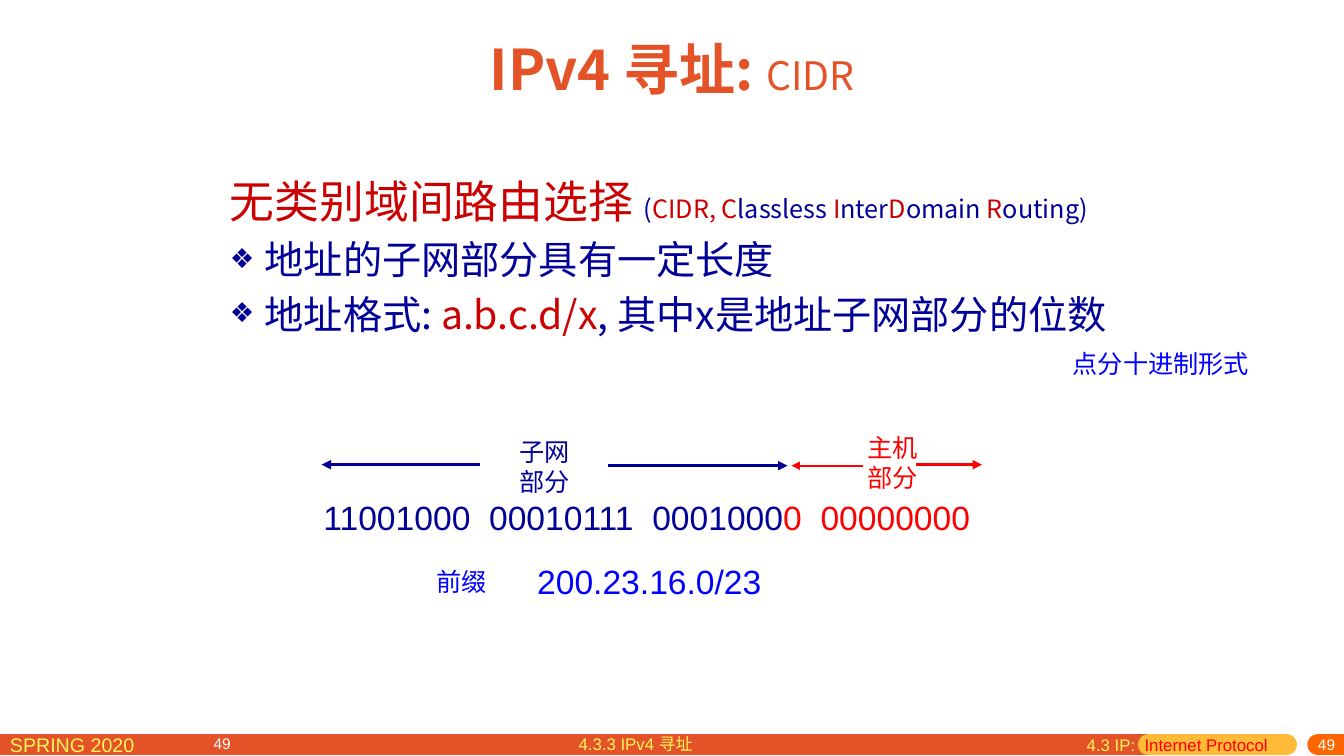
from lxml import etree
from pptx import Presentation
from pptx.dml.color import RGBColor
from pptx.enum.shapes import MSO_CONNECTOR
from pptx.enum.text import MSO_ANCHOR, MSO_AUTO_SIZE, PP_ALIGN
from pptx.oxml.ns import qn
from pptx.util import Inches, Pt

LEFT, CENTER, RIGHT = PP_ALIGN.LEFT, PP_ALIGN.CENTER, PP_ALIGN.RIGHT
TOP, MIDDLE = MSO_ANCHOR.TOP, MSO_ANCHOR.MIDDLE
NO_AUTOFIT = MSO_AUTO_SIZE.NONE
STRAIGHT = MSO_CONNECTOR.STRAIGHT

ORANGE = RGBColor(0xE4, 0x53, 0x27)
AMBER = RGBColor(0xFF, 0xBA, 0x37)
BRIGHT_ORANGE = RGBColor(0xFF, 0x66, 0x00)
YELLOW = RGBColor(0xFF, 0xF6, 0x5C)
WHITE = RGBColor(0xFF, 0xFF, 0xFF)
NAVY = RGBColor(0x00, 0x00, 0x99)
BLUE = RGBColor(0x00, 0x00, 0xFF)
CRIMSON = RGBColor(0xCC, 0x00, 0x00)
RED = RGBColor(0xFF, 0x00, 0x00)
LATIN, CJK = "Arial", "Noto Sans CJK SC"


def write(paragraph, runs, size, font, align=LEFT):
    paragraph.alignment = align
    paragraph.font.size = Pt(size)
    paragraph.font.name = font
    etree.SubElement(paragraph.font._rPr, qn("a:ea"), typeface=CJK)
    for text, color in runs:
        run = paragraph.add_run()
        run.text = text
        run.font.color.rgb = color
    return paragraph.runs


def draw_line(start, end, color, width, arrow=False, cap="flat"):
    line = slide.shapes.add_connector(STRAIGHT, *(Inches(v) for v in start + end))
    line.line.color.rgb = color
    line.line.width = Pt(width)
    stroke = line.line._ln
    stroke.set("cap", cap)
    if arrow:
        etree.SubElement(stroke, qn("a:tailEnd"), type="triangle")
    etree.SubElement(line._element.spPr, qn("a:effectLst"))


prs = Presentation()
prs.slide_width, prs.slide_height = Inches(13.33), Inches(7.5)
slide = prs.slides.add_slide(prs.slide_layouts[1])

for left, right, color, cap in [
    (-0.18, 11.39, ORANGE, "flat"),
    (11.39, 12.76, AMBER, "rnd"),
    (13.07, 13.6, BRIGHT_ORANGE, "rnd"),
]:
    draw_line((left, 7.39), (right, 7.39), color, 15, cap=cap)

title, body = slide.shapes.title, slide.placeholders[1]
for holder, box, anchor in [
    (title, (2.79, 0.21, 7.75, 0.93), MIDDLE),
    (body, (2.18, 1.67, 9.06, 3.47), TOP),
]:
    holder.left, holder.top, holder.width, holder.height = (Inches(v) for v in box)
    holder.text_frame.vertical_anchor = anchor
    holder.text_frame.auto_size = NO_AUTOFIT

heading, subject = write(
    title.text_frame.paragraphs[0], [("IPv4 寻址: ", ORANGE), ("CIDR", ORANGE)], 40, CJK, CENTER
)
heading.font.bold = True
subject.font.size = Pt(28)

full_name = [
    ("无类别域间路由选择 ", CRIMSON), ("(", NAVY), ("CIDR, C", CRIMSON), ("lassless ", NAVY),
    ("I", CRIMSON), ("nter", NAVY), ("D", CRIMSON), ("omain ", NAVY), ("R", CRIMSON),
    ("outing)", NAVY),
]
subnet_length = [(" 地址的子网部分具有一定长度", NAVY)]
address_format = [
    (" 地址格式: ", NAVY), ("a.b.c.d/x", CRIMSON), (", 其中x是地址子网部分的位数", NAVY),
]
for i, (runs, size, level, indent) in enumerate([
    (full_name, 32, 0, 0.38),
    (subnet_length, 28, 1, 0.26),
    (address_format, 28, 1, 0.26),
]):
    paragraph = body.text_frame.paragraphs[0] if i == 0 else body.text_frame.add_paragraph()
    paragraph.level = level
    paragraph.space_before = Pt(size * 0.2)
    properties = paragraph._p.get_or_add_pPr()
    properties.set("marL", str(Inches(indent)))
    properties.set("indent", str(-Inches(indent)))
    if level:
        etree.SubElement(properties, qn("a:buSzPct"), val="70000")
        etree.SubElement(properties, qn("a:buChar"), char="❖")
    else:
        etree.SubElement(properties, qn("a:buNone"))
    written = write(paragraph, runs, size, CJK)
    if level == 0:
        for run in written[1:]:
            run.font.size = Pt(18)

for box, lines, size, font, align, wrap in [
    ((0, 7.22, 2.29, 0.31), [[("SPRING 2020", YELLOW)]], 14, LATIN, LEFT, True),
    ((3.11, 4.88, 6.7, 0.5),
     [[("11001000  00010111  0001000", NAVY), ("0  00000000", RED)]], 24, LATIN, LEFT, False),
    ((5.05, 4.28, 0.71, 0.71), [[("子网", NAVY)], [("部分", NAVY)]], 18, CJK, CENTER, False),
    ((8.5, 4.24, 0.71, 0.71), [[("主机", RED)], [("部分", RED)]], 18, CJK, CENTER, False),
    ((5.23, 5.52, 2.43, 0.5), [[("200.23.16.0/23", BLUE)]], 24, LATIN, LEFT, False),
    ((10.68, 7.24, 2.2, 0.31),
     [[("4.3 IP: ", YELLOW), (" Internet Protocol", RED)]], 12, LATIN, LEFT, True),
    ((5.64, 7.23, 2.89, 0.31), [[("4.3.3 IPv4 寻址", YELLOW)]], 12, LATIN, LEFT, True),
    ((4.23, 5.57, 0.87, 0.4), [[("前缀", BLUE)]], 18, CJK, LEFT, True),
    ((10.54, 3.41, 1.97, 0.4), [[("点分十进制形式", BLUE)]], 18, LATIN, LEFT, False),
]:
    frame = slide.shapes.add_textbox(*(Inches(v) for v in box)).text_frame
    frame.word_wrap = wrap
    for i, runs in enumerate(lines):
        write(frame.add_paragraph() if i else frame.paragraphs[0], runs, size, font, align)

for left, top, align in [(10.75, 7.32, RIGHT), (2.02, 7.31, LEFT)]:
    page = slide.shapes.add_textbox(Inches(left), Inches(top), Inches(2.59), Inches(0.18)).text_frame
    page.word_wrap = True
    page.vertical_anchor = MIDDLE
    page.margin_top = 0
    write(page.paragraphs[0], [("49", WHITE)], 11, LATIN, align)

for start, end, y, color, width in [
    (6.03, 7.81, 4.62, NAVY, 2.25),
    (9.09, 9.74, 4.61, RED, 2.25),
    (4.76, 3.19, 4.61, NAVY, 2.25),
    (8.56, 7.85, 4.62, RED, 1.5),
]:
    draw_line((start, y), (end, y), color, width, arrow=True)

prs.save("out.pptx")
